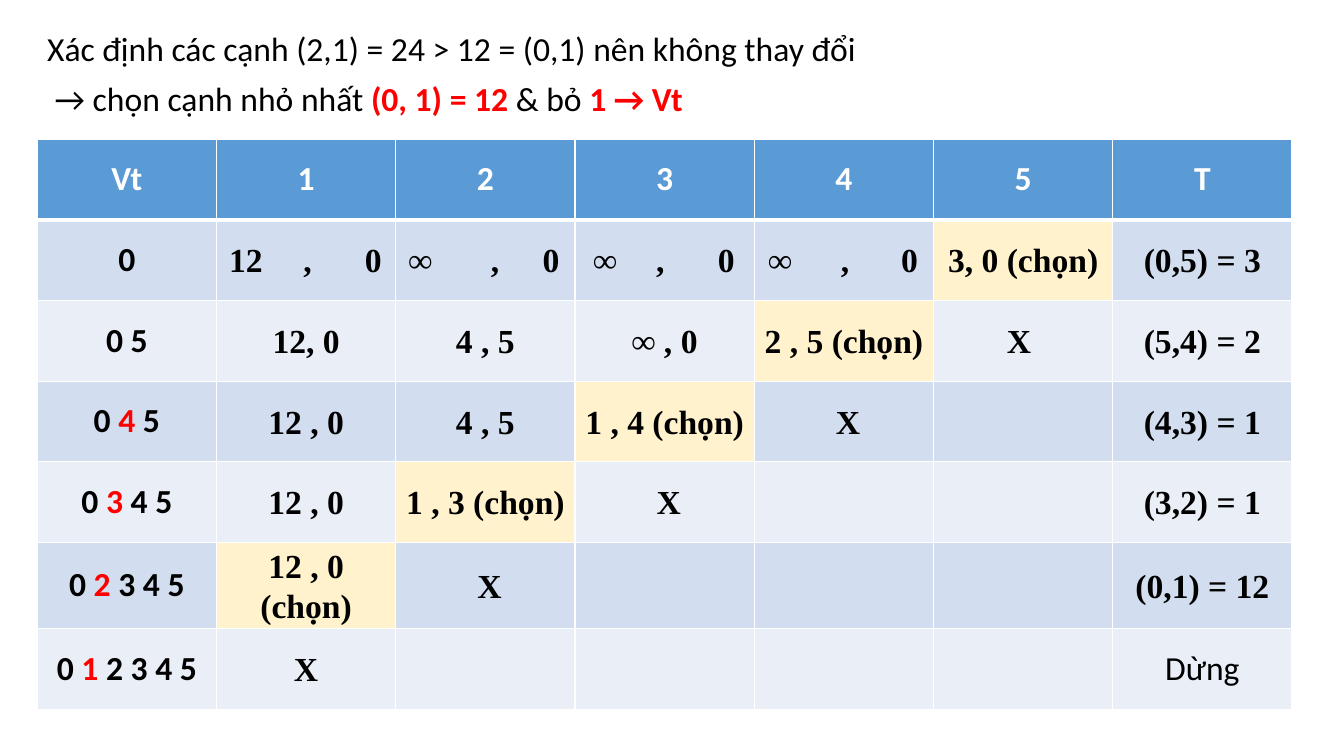
from lxml.etree import SubElement as Sub
from pptx import Presentation
from pptx.dml.color import RGBColor as Rgb
from pptx.enum.text import MSO_ANCHOR as Anchor, PP_ALIGN as Align
from pptx.oxml.ns import qn
from pptx.util import Pt

COLORS = {
    "text": "000000", "accent": "FF0000", "white": "FFFFFF", "header": "5B9BD5",
    "odd": "D2DEEF", "even": "EAEFF7", "chosen": "FFF2CC",
}
SANS, SERIF = "Calibri", "Times New Roman"
STOP = "Dừng"

INTRO = [
    "Xác định các cạnh (2,1) = 24 > 12 = (0,1) nên không thay đổi",
    " → chọn cạnh nhỏ nhất |(0, 1) = 12 |& bỏ |1 → Vt|",
]

# Text between bars is red; tabs part a label from its predecessor
STEPS = [
    ["Vt", "1", "2", "3", "4", "5", "T"],
    ["0", "12\t,\t0", "∞\t,\t0", "∞\t,\t0", "∞\t,\t0", "3, 0 (chọn)", "(0,5) = 3"],
    ["0 5", "12, 0", "4 , 5", "∞ , 0", "2 , 5 (chọn)", "X ", "(5,4) = 2"],
    ["0 |4| 5", "12 , 0", "4 , 5", "1 , 4 (chọn)", " X", "", "(4,3) = 1"],
    ["0 |3| 4 5", "12 , 0", "1 , 3 (chọn)", " X", "", "", "(3,2) = 1"],
    ["0 |2| 3 4 5", "12 , 0 (chọn)", " X", "", "", "", "(0,1) = 12"],
    ["0 |1| 2 3 4 5", "X", "", "", "", "", STOP],
]
# Left edge of label, comma and predecessor inside each tabbed cell
TAB_EDGES = {1: (9, 62, 106), 2: (9, 68, 105), 3: (13, 58, 102), 4: (10, 62, 105)}


class StepSlide:
    def __init__(self, deck):
        self.slide = deck.slides.add_slide(deck.slide_layouts[6])
        self.size = Pt(24)

    def add_runs(self, paragraph, text, font=SANS, color="text", bold=False):
        for index, part in enumerate(text.split("|")):
            if not part:
                continue
            marked = index % 2 == 1
            run = paragraph.add_run()
            run.text = part
            style = {"name": font, "size": self.size, "bold": bold or marked}
            for key, value in style.items():
                setattr(run.font, key, value)
            run.font.color.rgb = Rgb.from_string(COLORS["accent" if marked else color])

    def intro(self, lines, left, top, width, height):
        frame = self.slide.shapes.add_textbox(Pt(left), Pt(top), Pt(width), Pt(height)).text_frame
        frame.word_wrap = True
        for index, line in enumerate(lines):
            paragraph = frame.add_paragraph() if index else frame.paragraphs[0]
            paragraph.line_spacing = 0.9
            paragraph.space_before = Pt(10)
            self.add_runs(paragraph, line)

    def border(self, cell, side, width):
        edge = Sub(cell._tc.get_or_add_tcPr(), qn(f"a:{side}"), w=str(Pt(width)))
        Sub(Sub(edge, qn("a:solidFill")), qn("a:srgbClr"), val=COLORS["white"])

    def tab_stops(self, cell, paragraph, edges):
        start, *stops = edges
        cell.margin_left = Pt(start)
        paragraph.alignment = Align.LEFT
        tabs = Sub(paragraph._p.get_or_add_pPr(), qn("a:tabLst"))
        for stop in stops:
            Sub(tabs, qn("a:tab"), pos=str(Pt(stop - start)), algn="l")

    def cell(self, cell, text, row, col):
        header = row == 0
        label = header or col == 0 or text == STOP
        # Borders, with a heavy rule under the header
        for side in ("lnL", "lnR", "lnT", "lnB"):
            heavy = (row, side) in ((0, "lnB"), (1, "lnT"))
            self.border(cell, side, 3 if heavy else 1)
        # Fill
        band = "header" if header else "odd" if row % 2 else "even"
        cell.fill.solid()
        cell.fill.fore_color.rgb = Rgb.from_string(COLORS["chosen" if "(chọn)" in text else band])
        # Text
        cell.vertical_anchor = Anchor.MIDDLE
        paragraph = cell.text_frame.paragraphs[0]
        paragraph.alignment = Align.CENTER
        if not label:
            paragraph.line_spacing = 1.07
            margins = {"margin_left": 5, "margin_right": 5, "margin_top": 0, "margin_bottom": 0}
            for key, value in margins.items():
                setattr(cell, key, Pt(value))
        if "\t" in text:
            self.tab_stops(cell, paragraph, TAB_EDGES[col])
        self.add_runs(paragraph, text, SANS if label else SERIF,
                      "white" if header else "text", text != STOP)

    def table(self, rows, left, top, width, height):
        grid = self.slide.shapes.add_table(
            len(rows), len(rows[0]), Pt(left), Pt(top), Pt(width), Pt(height)).table
        for row, texts in enumerate(rows):
            for col, text in enumerate(texts):
                self.cell(grid.cell(row, col), text, row, col)


def main():
    deck = Presentation()
    deck.slide_width, deck.slide_height = Pt(960), Pt(540)
    steps = StepSlide(deck)
    # Explanation of the current step
    steps.intro(INTRO, 26.6, 19.4, 908, 504.7)
    # Shortest edges step by step
    steps.table(STEPS, 26.6, 99.4, 896.4, 403.2)
    deck.save("out.pptx")


if __name__ == "__main__":
    main()
